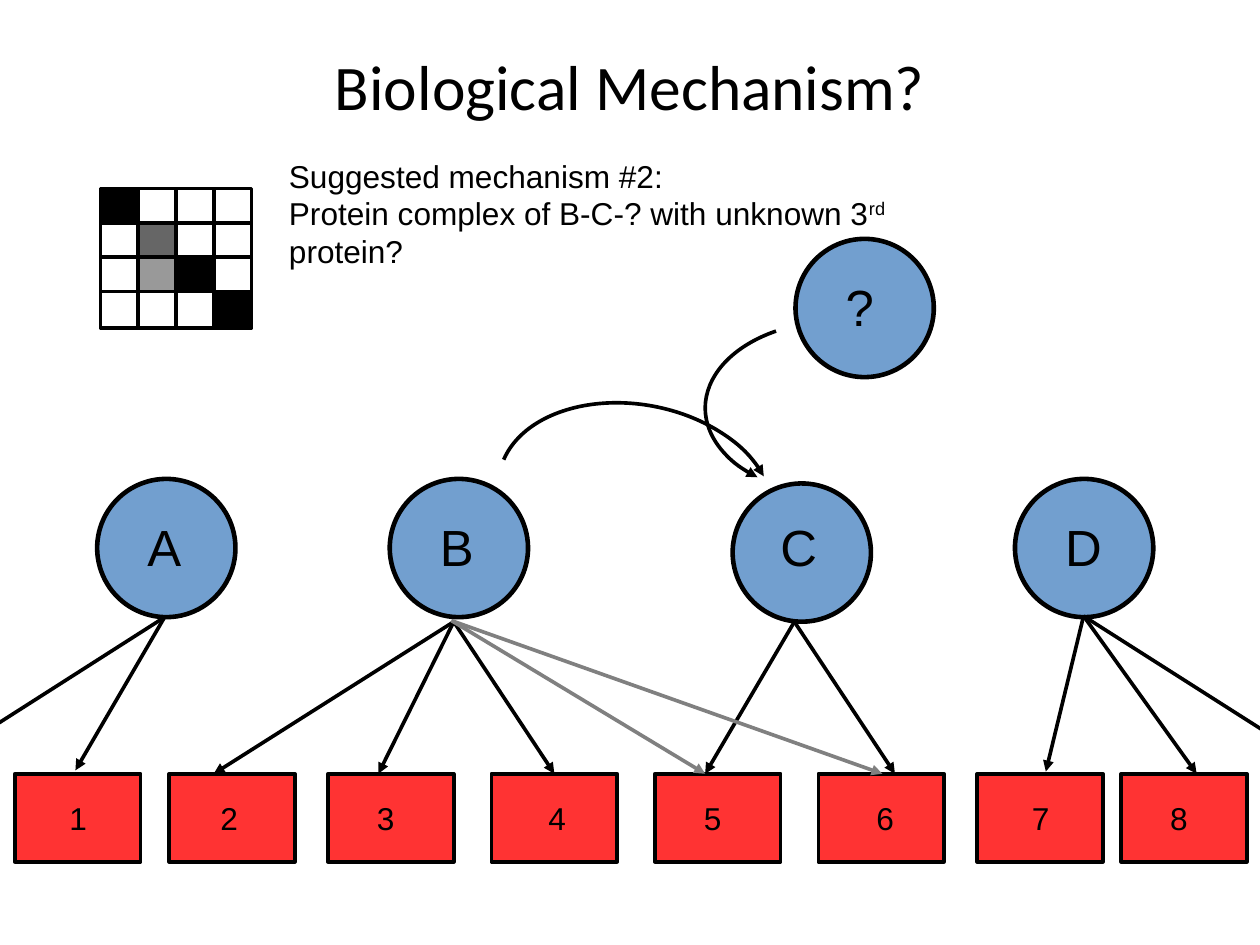
from dataclasses import dataclass

from lxml.etree import SubElement
from pptx import Presentation
from pptx.dml.color import RGBColor
from pptx.enum.shapes import MSO_CONNECTOR as CONNECTOR, MSO_SHAPE as SHAPE
from pptx.enum.text import MSO_ANCHOR as ANCHOR, PP_ALIGN as ALIGN
from pptx.oxml.ns import qn
from pptx.util import Inches, Pt


@dataclass(frozen=True)
class Theme:
    black: str = "000000"
    white: str = "FFFFFF"
    dark_grey: str = "666666"
    light_grey: str = "999999"
    weak_link: str = "808080"
    protein: str = "729FCF"
    target: str = "FF3333"
    title_font: str = "Calibri"
    body_font: str = "Arial"
    title_size: float = 40
    protein_size: float = 32
    body_size: float = 19.9
    line: float = 2.3
    thick_line: float = 2.89


THEME = Theme()

# The page is 28 by 21 centimetres
PAGE_WIDTH, PAGE_HEIGHT = 28 / 2.54, 21 / 2.54

# Left, top of each circle, then left, top, width of its letter
PROTEINS = {
    "A": (0.85, 4.19, 1.19, 4.46, 0.55),
    "B": (3.41, 4.19, 3.75, 4.46, 0.55),
    "C": (6.41, 4.23, 6.73, 4.46, 0.57),
    "D": (8.88, 4.19, 9.22, 4.46, 0.57),
    "?": (6.96, 2.09, 7.3, 2.36, 0.49),
}

# Left of each box and of its number
TARGETS = [(0.13, 0.51), (1.48, 1.83), (2.87, 3.2), (4.3, 4.7),
           (5.73, 6.06), (7.16, 7.57), (8.55, 8.93), (9.81, 10.14)]

# Start of each fan of arrows, its colour and the arrow tips
LINKS = [
    ((1.44, 5.4), THEME.black, [(-0.66, 6.74), (0.66, 6.74)]),
    ((3.97, 5.44), THEME.black, [(1.87, 6.77), (3.31, 6.77), (4.85, 6.77)]),
    ((6.95, 5.44), THEME.black, [(6.17, 6.77), (7.83, 6.77)]),
    ((9.48, 5.39), THEME.black, [(9.15, 6.75), (10.47, 6.77), (11.57, 6.72)]),
    ((3.95, 5.43), THEME.weak_link, [(6.17, 6.77), (7.72, 6.77)]),
]

# Shade of each matrix cell
K, W = THEME.black, THEME.white
MATRIX = [
    [K, W, W, W],
    [W, THEME.dark_grey, W, W],
    [W, THEME.light_grey, K, W],
    [W, W, W, K],
]


def color(value):
    return RGBColor.from_string(value)


def set_font(para, size, name=THEME.body_font):
    para.font.size = Pt(size)
    para.font.name = name
    para.font.color.rgb = color(THEME.black)


def set_line(item, width=THEME.line, shade=THEME.black):
    item.line.color.rgb = color(shade)
    item.line.width = Pt(width)


def add_arrowhead(item, end):
    SubElement(item.line._get_or_add_ln(), qn(f"a:{end}"), type="triangle")


def add_outlined(shapes, kind, left, top, width, height, fill, line=THEME.line):
    shape = shapes.add_shape(kind, Inches(left), Inches(top), Inches(width), Inches(height))
    shape.shadow.inherit = False
    if fill:
        shape.fill.solid()
        shape.fill.fore_color.rgb = color(fill)
    else:
        shape.fill.background()
    set_line(shape, line)
    return shape


def add_text(page, left, top, width, height, text, size, wrap=False):
    box = page.shapes.add_textbox(Inches(left), Inches(top), Inches(width), Inches(height))
    frame = box.text_frame
    frame.word_wrap = wrap
    frame.text = text
    for para in frame.paragraphs:
        set_font(para, size)
    return frame


def add_title(page, text):
    title = page.shapes.title
    title.left, title.top = Inches(0.55), Inches(0)
    title.width, title.height = Inches(9.92), Inches(1.49)
    frame = title.text_frame
    frame.margin_left = frame.margin_right = frame.margin_top = frame.margin_bottom = 0
    frame.vertical_anchor = ANCHOR.MIDDLE
    frame.text = text
    para = frame.paragraphs[0]
    para.alignment = ALIGN.CENTER
    set_font(para, THEME.title_size, THEME.title_font)


def add_target(page, number, left, label_left):
    add_outlined(page.shapes, SHAPE.RECTANGLE, left, 6.77, 1.1, 0.77, THEME.target)
    add_text(page, label_left, 6.94, 0.37, 0.53, str(number), THEME.body_size)


def add_protein(page, name, left, top, label_left, label_top, label_width):
    circle = add_outlined(page.shapes, SHAPE.OVAL, left, top, 1.21, 1.21,
                          THEME.protein, THEME.thick_line)
    circle.rotation = 358.7
    add_text(page, label_left, label_top, label_width, 0.77, name, THEME.protein_size)


def add_arrow(page, start, tip, shade):
    arrow = page.shapes.add_connector(CONNECTOR.STRAIGHT, *map(Inches, start + tip))
    SubElement(arrow._element.spPr, qn("a:effectLst"))
    set_line(arrow, shade=shade)
    add_arrowhead(arrow, "tailEnd")


def add_arc(page, bounds, degrees, end, rotation=0):
    arc = add_outlined(page.shapes, SHAPE.ARC, *bounds, fill=None)
    for index, angle in enumerate(degrees):
        arc.adjustments[index] = angle * 0.6  # 60000 units per degree, scaled by 100000
    arc.rotation = rotation
    add_arrowhead(arc, end)


def add_matrix(page, left, top):
    group = page.shapes.add_group_shape()
    for row, shades in enumerate(MATRIX):
        for column, shade in enumerate(shades):
            add_outlined(group.shapes, SHAPE.RECTANGLE, left + 0.33 * column,
                         top + 0.3 * row, 0.33, 0.32, shade)


def add_mechanism(page):
    frame = add_text(page, 2.43, 1.32, 6.06, 1.04,
                     "Suggested mechanism #2:\nProtein complex of B-C-? with unknown 3",
                     THEME.body_size, wrap=True)
    para = frame.paragraphs[1]
    ordinal = para.add_run()
    ordinal.text = "rd"
    ordinal._r.get_or_add_rPr().set("baseline", "33000")
    para.add_run().text = " protein?"


def main():
    deck = Presentation()
    deck.slide_width, deck.slide_height = Inches(PAGE_WIDTH), Inches(PAGE_HEIGHT)
    page = deck.slides.add_slide(deck.slide_layouts[5])
    add_title(page, "Biological Mechanism?")

    # Targets and proteins
    for number, (left, label_left) in enumerate(TARGETS, start=1):
        add_target(page, number, left, label_left)
    for name, places in PROTEINS.items():
        add_protein(page, name, *places)

    # Links from proteins to targets
    for start, shade, tips in LINKS:
        for tip in tips:
            add_arrow(page, start, tip, shade)

    # Curved links into protein C
    add_arc(page, (4.35, 3.54, 2.43, 1.65), (185.93, 339.35), "tailEnd", rotation=10.6)
    add_arc(page, (6.17, 2.81, 2.31, 1.52), (139.03, 231.51), "headEnd")

    # Matrix and explanation
    add_matrix(page, 0.88, 1.65)
    add_mechanism(page)
    deck.save("out.pptx")


if __name__ == "__main__":
    main()
